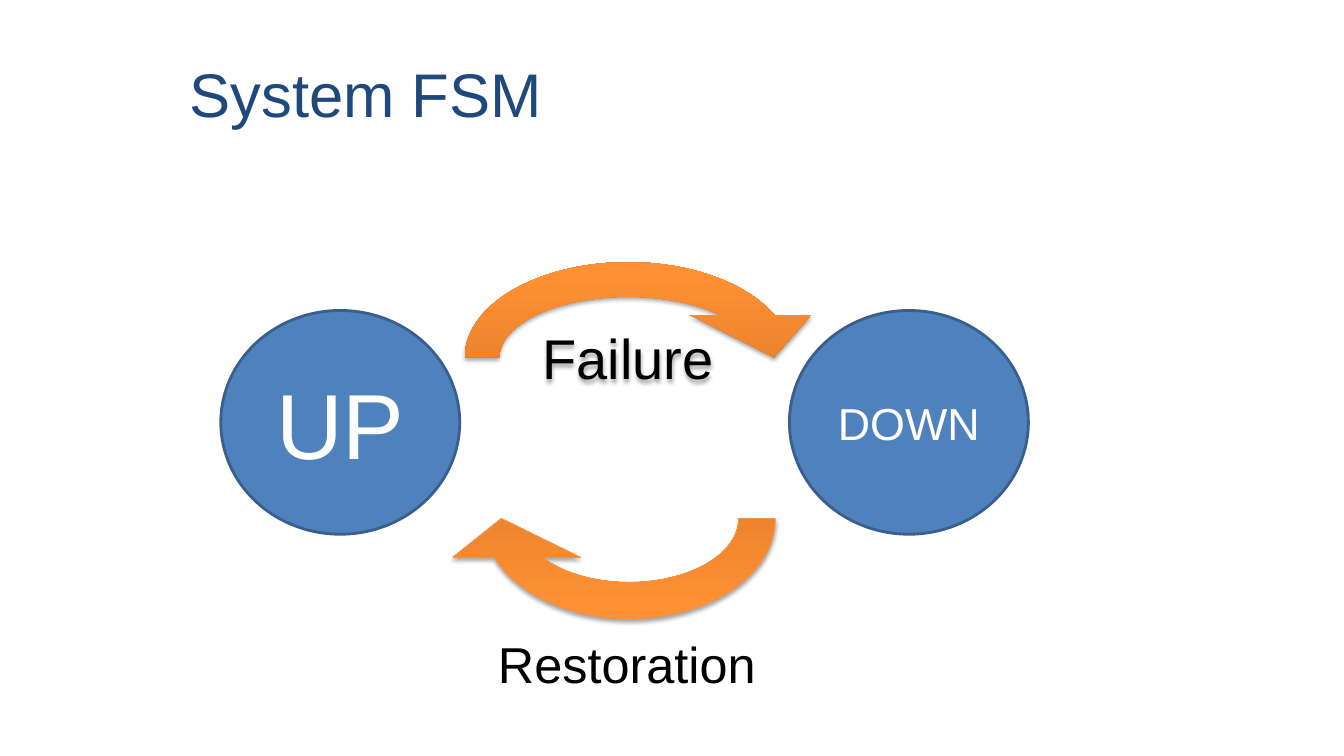
from lxml import etree
from pptx import Presentation
from pptx import util as u
from pptx.dml.color import RGBColor
from pptx.enum import shapes, text
from pptx.oxml.ns import nsdecls

WIDTH, HEIGHT = 13.33, 7.5
FONT = "Arial"
BLUE, BLUE_EDGE, ORANGE_EDGE = "4F81BD", "3A5F8C", "F69240"
NAVY, WHITE, BLACK = "1F497D", "FFFFFF", "000000"
ORANGE_STOPS = [(0, "CC6E20"), (80, "FF9034"), (100, "FF9136")]
ARROW_BEND = (0.125, 11.42319, 204.57681, 108, 0.219)
STATE_TOP, STATE_SIZE = 3.08, (2.37, 2.22)


def color(hex_string):
    """Turn a hex string into a colour."""
    return RGBColor.from_string(hex_string)


def box(left, top, width, height):
    """Convert a box in inches to slide lengths."""
    return [u.Inches(value) for value in (left, top, width, height)]


def write(shape, wording, size, hex_string, align=text.PP_ALIGN.CENTER):
    """Put one formatted, vertically centred paragraph in a shape."""
    frame = shape.text_frame
    frame.text = wording
    frame.vertical_anchor = text.MSO_ANCHOR.MIDDLE
    paragraph = frame.paragraphs[0]
    paragraph.alignment = align
    paragraph.font.name = FONT
    paragraph.font.size = u.Pt(size)
    paragraph.font.color.rgb = color(hex_string)


def outline(shape, hex_string, width):
    """Give a shape a solid outline."""
    shape.line.color.rgb = color(hex_string)
    shape.line.width = u.Pt(width)


def add_title(slide, wording):
    """Place and format the title placeholder."""
    title = slide.shapes.title
    title.left, title.top, title.width, title.height = box(1.78, 0.3, 10.89, 1.25)
    write(title, wording, 44, NAVY, text.PP_ALIGN.LEFT)


def add_state(slide, left, name, size):
    """Draw one state of the machine as an ellipse."""
    state = slide.shapes.add_shape(
        shapes.MSO_SHAPE.OVAL, *box(left, STATE_TOP, *STATE_SIZE))
    state.shadow.inherit = False
    state.fill.solid()
    state.fill.fore_color.rgb = color(BLUE)
    outline(state, BLUE_EDGE, 2)
    write(state, name, size, WHITE)


def add_transition(slide, place, rotation=0):
    """Draw a curved arrow with an orange gradient and a soft shadow."""
    arrow = slide.shapes.add_shape(shapes.MSO_SHAPE.CIRCULAR_ARROW, *box(*place))
    arrow.rotation = rotation
    for index, value in enumerate(ARROW_BEND):
        arrow.adjustments[index] = value
    stops = "".join(
        f'<a:gs pos="{position * 1000}"><a:srgbClr val="{stop}"/></a:gs>'
        for position, stop in ORANGE_STOPS)
    properties = arrow.element.spPr
    properties.append(etree.fromstring(
        f'<a:gradFill {nsdecls("a")} rotWithShape="1"><a:gsLst>{stops}</a:gsLst>'
        '<a:lin ang="16200000" scaled="0"/></a:gradFill>'))
    arrow.line.fill.background()
    properties.append(etree.fromstring(
        f'<a:effectLst {nsdecls("a")}><a:outerShdw blurRad="40000" dist="23000" '
        'dir="5400000" rotWithShape="0"><a:srgbClr val="000000">'
        '<a:alpha val="35000"/></a:srgbClr></a:outerShdw></a:effectLst>'))
    return arrow


def add_label(slide, place, wording, size):
    """Add a free-standing label that does not wrap."""
    label = slide.shapes.add_textbox(*box(*place))
    write(label, wording, size, BLACK, text.PP_ALIGN.LEFT)
    label.text_frame.word_wrap = False
    label.text_frame.auto_size = text.MSO_AUTO_SIZE.SHAPE_TO_FIT_TEXT


def main():
    """Build the slide and save it."""
    presentation = Presentation()
    presentation.slide_width = u.Inches(WIDTH)
    presentation.slide_height = u.Inches(HEIGHT)
    slide = presentation.slides.add_slide(presentation.slide_layouts[5])
    add_title(slide, "System FSM")
    add_state(slide, 2.19, "UP", 66)
    add_state(slide, 7.83, "DOWN", 32)
    failure = add_transition(slide, (4.18, 2.17, 4.1, 2.75))
    write(failure, "Failure", 40, BLACK)
    restoration = add_transition(slide, (4.34, 3.7, 3.8, 2.89), 180)
    outline(restoration, ORANGE_EDGE, 0.75)
    add_label(slide, (4.84, 6.23, 2.78, 0.71), "Restoration", 36)
    presentation.save("out.pptx")


main()
